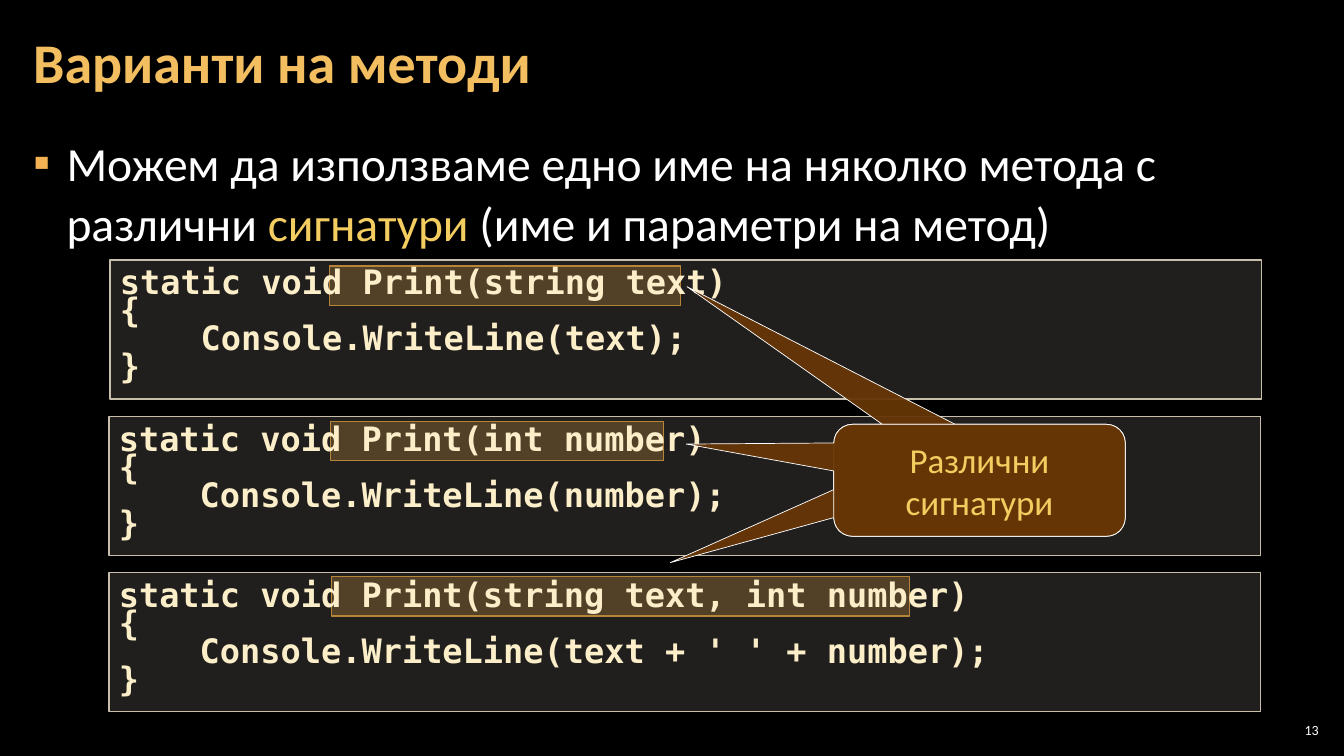
from dataclasses import dataclass

from lxml.etree import SubElement
from pptx import Presentation
from pptx.dml.color import RGBColor as Rgb
from pptx.enum.shapes import MSO_SHAPE as Kind
from pptx.enum.text import MSO_ANCHOR as Anchor, PP_ALIGN as Align
from pptx.oxml.ns import qn
from pptx.util import Inches, Pt

HUES = {
    "back": "000000", "white": "FFFFFF", "title": "F3BE60", "key": "F3CD60",
    "bullet": "F2B254", "code": "FBEEC9", "panel": "D9D5C7", "edge": "C7BFAC",
    "mark": "F0A22E", "rim": "B27822", "call": "663606",
}
SANS, MONO = "Calibri", "DejaVu Sans Mono"
LEFT, TOP, STEP = 1.08, 2.58, 1.55


@dataclass
class Method:
    params: str
    value: str
    left: float
    width: float

    def lines(self) -> list:
        return [f"static void Print({self.params})", "{",
                f"    Console.WriteLine({self.value});", "}"]


@dataclass
class Tail:
    x: float
    y: float


METHODS = [
    Method("string text", "text", 1.09, 3.48),
    Method("int number", "number", LEFT, 3.3),
    Method("string text, int number", "text + ' ' + number", LEFT, 5.73),
]
TAILS = [Tail(-1.004, -1.731), Tail(-1.061, 0.736), Tail(-1.007, -0.324)]


def hue(name: str) -> Rgb:
    return Rgb.from_string(HUES[name])


def write(shape, lines: list, *, size: float, color: str, font: str = SANS,
          bold: bool = False, align=Align.LEFT, anchor=Anchor.MIDDLE,
          space=None, pad: tuple = (0.1, 0.05), bullet: str = "") -> None:
    frame = shape.text_frame
    frame.word_wrap = True
    frame.vertical_anchor = anchor
    frame.margin_left = frame.margin_right = Inches(pad[0])
    frame.margin_top = frame.margin_bottom = Inches(pad[1])
    for i, line in enumerate(lines):
        para = frame.add_paragraph() if i else frame.paragraphs[0]
        para.alignment = align
        if space:
            para.line_spacing = space
        if bullet:
            props = para._p.get_or_add_pPr()
            props.set("marL", str(Inches(0.33)))
            props.set("indent", str(-Inches(0.33)))
            tint = SubElement(props, qn("a:buClr"))
            SubElement(tint, qn("a:srgbClr"), val=HUES["bullet"])
            SubElement(props, qn("a:buFont"), typeface=SANS)
            SubElement(props, qn("a:buChar"), char=bullet)
        parts = [(line, color)] if isinstance(line, str) else line
        for text, tone in parts:
            run = para.add_run()
            run.text = text
            run.font.name = font
            run.font.size = Pt(size)
            run.font.bold = bold
            run.font.color.rgb = hue(tone)


def draw(slide, kind, box: tuple, fill: str, alpha: int, line: str,
         width: float = 1):
    shape = slide.shapes.add_shape(kind, *map(Inches, box))
    shape.shadow.inherit = False
    shape.fill.solid()
    shape.fill.fore_color.rgb = hue(fill)
    color = shape.element.spPr.find(".//" + qn("a:srgbClr"))
    SubElement(color, qn("a:alpha"), val=str(alpha * 1000))
    shape.line.color.rgb = hue(line)
    shape.line.width = Pt(width)
    return shape


def label(slide, box: tuple, lines: list, **style) -> None:
    write(slide.shapes.add_textbox(*map(Inches, box)), lines, **style)


def main() -> None:
    deck = Presentation()
    deck.slide_width, deck.slide_height = Inches(13.33), Inches(7.5)
    slide = deck.slides.add_slide(deck.slide_layouts[6])
    slide.background.fill.solid()
    slide.background.fill.fore_color.rgb = hue("back")

    for i, item in enumerate(METHODS):
        draw(slide, Kind.RECTANGLE,
             (3.27 + 0.01 * i, 2.64 + 1.54 * i, item.width, 0.39),
             "mark", 25, "rim")
    for i, item in enumerate(METHODS):
        panel = draw(slide, Kind.RECTANGLE,
                     (item.left, TOP + STEP * i, 11.42, 1.38),
                     "panel", 15, "edge")
        write(panel, item.lines(), size=24, color="code", font=MONO,
              bold=True, space=Pt(20))

    label(slide, (12.65, 7.14, 0.47, 0.21), ["13"], size=10, color="white",
          align=Align.RIGHT, pad=(0.04, 0.04))
    point = [("Можем да използваме едно име на няколко метода с различни ", "white"),
             ("сигнатури", "key"),
             (" (име и параметри на метод)", "white")]
    label(slide, (0.21, 1.26, 12.91, 6.09), [point], size=34, color="white",
          anchor=Anchor.TOP, space=1.05, pad=(0.12, 0.04), bullet="▪")
    label(slide, (0.21, 0.04, 10.47, 1.21), ["Варианти на методи"], size=40,
          color="title", bold=True, space=0.9, pad=(0.12, 0.04))

    for tail in TAILS:
        call = draw(slide, Kind.ROUNDED_RECTANGULAR_CALLOUT,
                    (8.27, 4.21, 2.89, 1.11), "call", 95, "white", 0.5)
        call.adjustments[0], call.adjustments[1] = tail.x, tail.y
        write(call, ["Различни сигнатури"], size=25, color="key",
              align=Align.CENTER, space=Pt(30), pad=(0.1, 0.08))

    deck.save("out.pptx")


if __name__ == "__main__":
    main()
